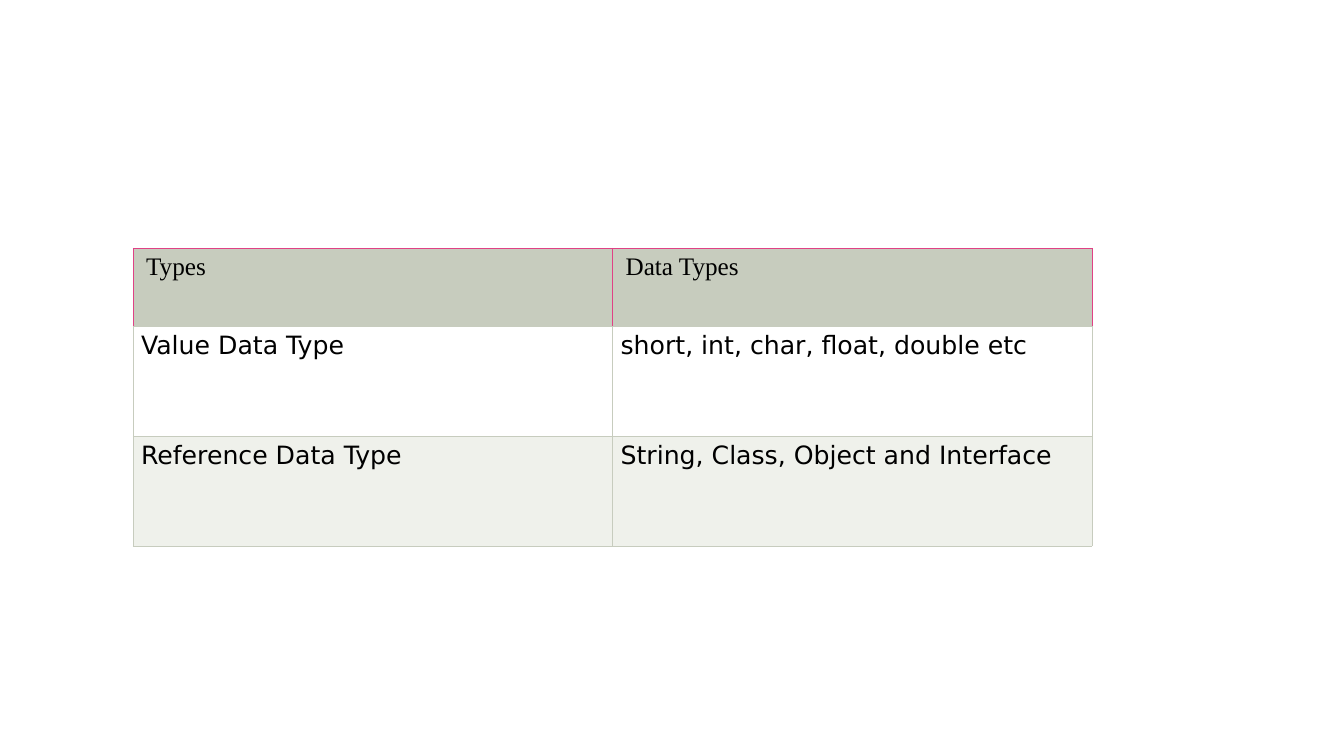
from dataclasses import dataclass

from lxml import etree
from pptx import Presentation
from pptx.dml.color import RGBColor
from pptx.enum.text import PP_ALIGN
from pptx.oxml.ns import qn
from pptx.table import _Cell
from pptx.util import Pt

LEFT, JUSTIFY = PP_ALIGN.LEFT, PP_ALIGN.JUSTIFY
COLORS = {"text": "000000", "sage": "C7CCBE", "pink": "E04185",
          "white": "FFFFFF", "pale": "EFF1EB"}
SIDES = ("L", "R", "T", "B")
BORDER_WIDTH = Pt(0.34)
COLUMN_WIDTH = Pt(342.72)


@dataclass
class TableRow:
    """Content and format of one table row."""
    texts: tuple[str, str]
    height: float
    fill: str
    font: str = "DejaVu Sans"
    align: PP_ALIGN = JUSTIFY
    inset: float = 5.76
    borders: tuple[str, str, str, str] = ("sage",) * 4


ROWS = [
    TableRow(("Types", "Data Types"), 56.16, "sage", "Times New Roman", LEFT,
             9.36, ("pink", "pink", "pink", "sage")),
    TableRow(("Value Data Type", "short, int, char, float, double etc"),
             78.48, "white"),
    TableRow(("Reference Data Type", "String, Class, Object and Interface"),
             78.48, "pale"),
]


def write_text(cell: _Cell, text: str, *, font: str, align: PP_ALIGN,
               size: float = 18, color: str = "text") -> None:
    """Write formatted text into a cell."""
    p = cell.text_frame.paragraphs[0]
    p.alignment = align
    r = p.add_run()
    r.text = text
    r.font.name = font
    r.font.size = Pt(size)
    r.font.color.rgb = RGBColor.from_string(COLORS[color])


def set_borders(cell: _Cell, borders: tuple[str, str, str, str]) -> None:
    """Draw the left, right, top and bottom borders of a cell."""
    props = cell._tc.get_or_add_tcPr()
    for i, (side, color) in enumerate(zip(SIDES, borders)):
        line = etree.Element(qn(f"a:ln{side}"), w=str(BORDER_WIDTH))
        fill = etree.SubElement(line, qn("a:solidFill"))
        etree.SubElement(fill, qn("a:srgbClr"), val=COLORS[color])
        props.insert(i, line)


def format_cell(cell: _Cell, row: TableRow, text: str) -> None:
    """Fill in one cell according to its row."""
    cell.margin_left = cell.margin_right = Pt(row.inset)
    cell.margin_top = cell.margin_bottom = Pt(3.6)
    cell.fill.solid()
    cell.fill.fore_color.rgb = RGBColor.from_string(COLORS[row.fill])
    set_borders(cell, row.borders)
    write_text(cell, text, font=row.font, align=row.align)


def main() -> None:
    """Build the slide with the table of data types."""
    prs = Presentation()
    prs.slide_width, prs.slide_height = Pt(960.48), Pt(540)
    s = prs.slides.add_slide(prs.slide_layouts[6])
    height = sum(row.height for row in ROWS)
    table = s.shapes.add_table(len(ROWS), 2, Pt(95.04), Pt(177.12),
                               2 * COLUMN_WIDTH, Pt(height)).table
    for i, row in enumerate(ROWS):
        table.rows[i].height = Pt(row.height)
        for j, text in enumerate(row.texts):
            format_cell(table.cell(i, j), row, text)
    prs.save("out.pptx")


if __name__ == "__main__":
    main()
